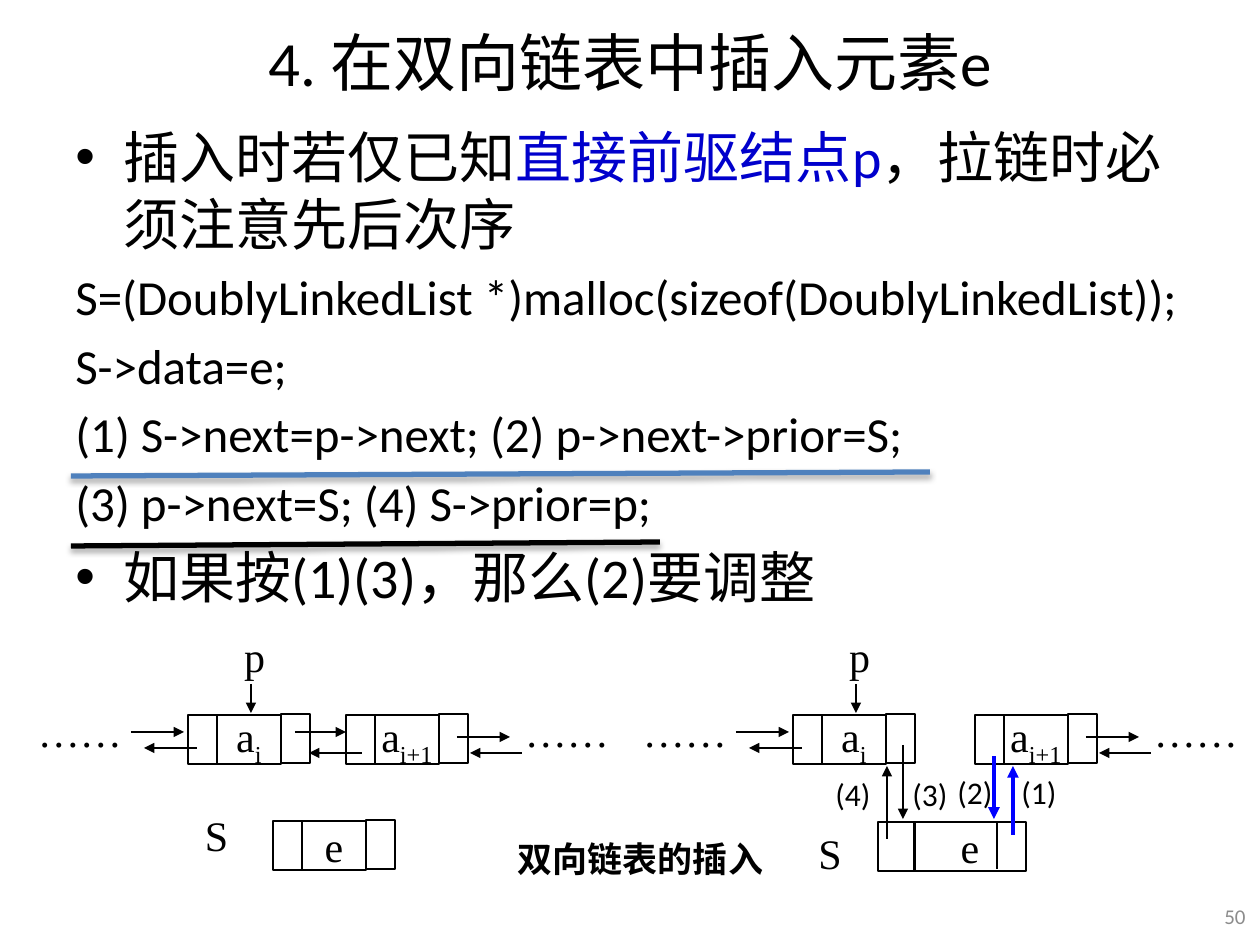
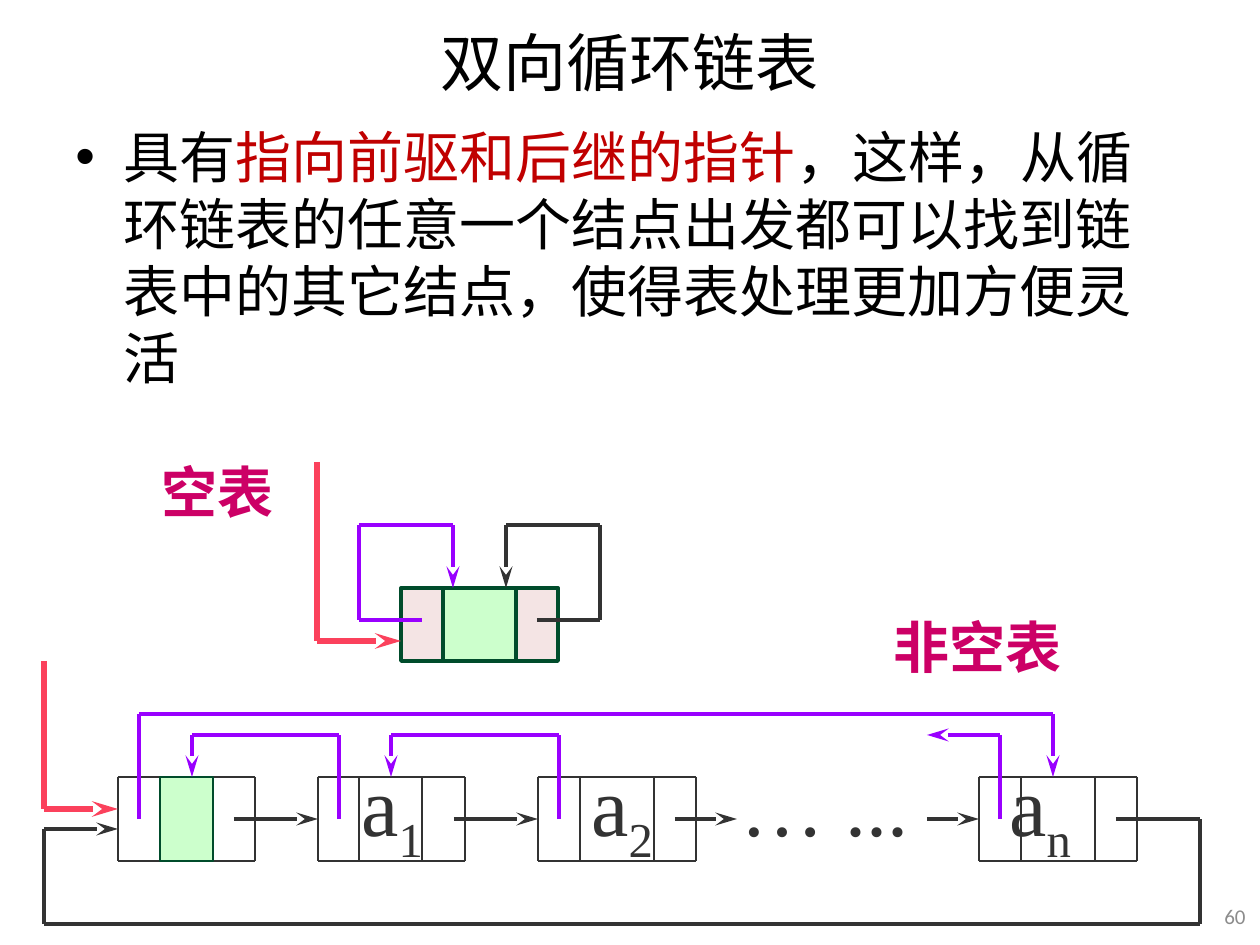
from dataclasses import dataclass
from itertools import pairwise
from typing import NamedTuple

from lxml.etree import SubElement as Sub
from pptx import Presentation
from pptx.dml.color import RGBColor as Rgb
from pptx.enum.shapes import MSO_CONNECTOR as Link, MSO_SHAPE as Kind
from pptx.enum.text import MSO_ANCHOR as Anchor, PP_ALIGN as Align
from pptx.oxml.ns import qn
from pptx.util import Emu, Pt

HUES = {
    "ink": "000000", "dark": "333333", "gray": "8C8C8C", "steel": "4F81BD",
    "navy": "0000CC", "blue": "0000FF", "red": "C00000", "coral": "FB415C",
    "pink": "CC0066", "plum": "9900FF", "green": "004C2B", "mint": "CCFFCC",
    "rose": "F4E4E4",
}
SCALE = 914400 / 126
WIDE, HIGH = 1260, 945
HANG = 48
ROMAN, HAN = "Times New Roman", "Noto Sans CJK SC"


class Run(NamedTuple):
    text: str
    hue: str = ""
    low: bool = False


class Look(NamedTuple):
    size: int
    font: str = "Calibri"
    hue: str = "ink"
    bold: bool = False
    east: str = "Calibri"


class Pen(NamedTuple):
    hue: str = "ink"
    width: float = 1
    tip: str = ""
    shade: bool = False


class Box(NamedTuple):
    left: int
    top: int
    width: int
    height: int


@dataclass(frozen=True)
class Para:
    runs: tuple[Run, ...]
    look: Look
    align: Align = Align.LEFT
    bullet: bool = False
    before: float = 0


TITLE, LEAD, CODE, NOTE = Look(36), Look(32), Look(28), Look(18)
SERIF = Look(24, ROMAN, east=ROMAN)
LARGE = Look(48, ROMAN, "dark", east=ROMAN)
HEAD = Look(32, ROMAN, "pink", True)
CAPTION = Look(20, HAN, bold=True, east=HAN)
THIN, FINE = Pen(), Pen(width=0.75)
ARROW = Pen(tip="triangle")
STEP = Pen(width=0.75, tip="triangle")
BOLD = Pen("blue", 2.25, "triangle")
GRID = Pen("dark", 0.75)
NEXT = Pen("dark", 2.5, "stealth")
PRIOR = Pen("plum", 2.5, "stealth")
ENTRY = Pen("coral", 3, "stealth")


def px(size: float) -> Emu:
    return Emu(round(size * SCALE))


def tint(hue: str) -> Rgb:
    return Rgb.from_string(HUES[hue])


# Text
def add_para(para, item: Para) -> None:
    props = para._p.get_or_add_pPr()
    if item.bullet:
        props.set("marL", str(px(HANG)))
        props.set("indent", str(px(-HANG)))
        Sub(props, qn("a:buFont"), typeface="Arial")
        Sub(props, qn("a:buChar"), char="•")
    para.alignment = item.align
    if item.before:
        para.space_before = Pt(item.before)
    look = item.look
    for part in item.runs:
        run = para.add_run()
        run.text = part.text
        font = run.font
        font.size, font.name, font.bold = Pt(look.size), look.font, look.bold
        font.color.rgb = tint(part.hue or look.hue)
        mark = font._element
        Sub(mark, qn("a:ea"), typeface=look.east)
        if part.low:
            mark.set("baseline", "-25000")


def set_text(shape, paras: list[Para], anchor: Anchor, wrap: bool):
    frame = shape.text_frame
    frame.word_wrap, frame.vertical_anchor = wrap, anchor
    for index, item in enumerate(paras):
        add_para(frame.add_paragraph() if index else frame.paragraphs[0], item)
    return frame


def add_text(slide, box: Box, *paras: Para, anchor: Anchor = Anchor.TOP,
             wrap: bool = True):
    shape = slide.shapes.add_textbox(*map(px, box))
    return set_text(shape, list(paras), anchor, wrap)


def add_label(slide, box: Box, text: str) -> None:
    frame = add_text(slide, box, Para((Run(text),), SERIF, Align.CENTER),
                     anchor=Anchor.MIDDLE, wrap=False)
    frame.margin_left = frame.margin_right = 0


# Shapes and lines
def add_cell(slide, box: Box, pen: Pen = THIN, fill: str = "",
             runs: tuple[Run, ...] = ()) -> None:
    cell = slide.shapes.add_shape(Kind.RECTANGLE, *map(px, box))
    cell.shadow.inherit = False
    if fill:
        cell.fill.solid()
        cell.fill.fore_color.rgb = tint(fill)
    else:
        cell.fill.background()
    cell.line.color.rgb, cell.line.width = tint(pen.hue), Pt(pen.width)
    if runs:
        set_text(cell, [Para(runs, SERIF, Align.CENTER)], Anchor.MIDDLE, False)


def add_line(slide, start: tuple, end: tuple, pen: Pen) -> None:
    link = slide.shapes.add_connector(Link.STRAIGHT, *map(px, (*start, *end)))
    link.line.color.rgb, link.line.width = tint(pen.hue), Pt(pen.width)
    if pen.tip:
        Sub(link.line._ln, qn("a:tailEnd"), type=pen.tip,
            len="lg" if pen.tip == "stealth" else "med")
    effect = Sub(link._element.spPr, qn("a:effectLst"))
    if pen.shade:
        shade = Sub(effect, qn("a:outerShdw"), blurRad=str(Pt(3.1)),
                    dist=str(Pt(1.8)), dir="5400000", rotWithShape="0")
        color = Sub(shade, qn("a:srgbClr"), val=HUES["ink"])
        Sub(color, qn("a:alpha"), val="35000")


def add_route(slide, pen: Pen, *stops: tuple) -> None:
    legs = list(pairwise(stops))
    for index, (start, end) in enumerate(legs, 1):
        last = index == len(legs)
        add_line(slide, start, end, pen if last else pen._replace(tip=""))


def add_base(deck, title: str, number: int):
    slide = deck.slides.add_slide(deck.slide_layouts[6])
    add_text(slide, Box(63, 6, 1134, 110),
             Para((Run(title),), TITLE, Align.CENTER), anchor=Anchor.MIDDLE)
    add_text(slide, Box(1206, 890, 52, 53),
             Para((Run(str(number)),), Look(12, hue="gray"), Align.RIGHT),
             anchor=Anchor.MIDDLE)
    return slide


# Slide 1: inserting a node
def add_node(slide, left: int, top: int, *runs: Run) -> None:
    add_cell(slide, Box(left, top, 29, 49))
    add_cell(slide, Box(left + 29, top, 64, 49), runs=runs)
    add_cell(slide, Box(left + 93, top - 1, 29, 49))


def add_list(slide, head: int, tail: int) -> None:
    add_label(slide, Box(head + 42, 631, 49, 49), "p")
    add_label(slide, Box(head - 157, 706, 98, 49), "……")
    add_label(slide, Box(tail + 172, 706, 98, 49), "……")
    add_node(slide, head, 715, Run("a"), Run("i", low=True))
    add_node(slide, tail, 715, Run("a"), Run("i+1", low=True))
    add_line(slide, (head + 63, 684), (head + 63, 713), ARROW)
    for start, end, y in ((head - 57, head - 4, 732), (head + 9, head - 44, 748),
                          (tail + 111, tail + 164, 737),
                          (tail + 176, tail + 124, 753)):
        add_line(slide, (start, y), (end, y), ARROW)


def add_insert(deck) -> None:
    slide = add_base(deck, "4. 在双向链表中插入元素e", 50)
    code = ("S=(DoublyLinkedList *)malloc(sizeof(DoublyLinkedList));",
            "S->data=e;",
            "(1) S->next=p->next; (2) p->next->prior=S;",
            "(3) p->next=S; (4) S->prior=p;")
    add_text(
        slide, Box(63, 116, 1134, 525),
        Para((Run("插入时若仅已知"), Run("直接前驱结点p", "navy"),
              Run("，拉链时必须注意先后次序")), LEAD, bullet=True),
        *(Para((Run(text),), CODE, before=5.6) for text in code),
        Para((Run("如果按(1)(3)，那么(2)要调整"),), LEAD, bullet=True, before=6.4))

    # Before the insertion
    add_list(slide, 188, 346)
    add_line(slide, (295, 732), (346, 732), ARROW)
    add_line(slide, (362, 753), (309, 753), ARROW)
    add_label(slide, Box(192, 815, 49, 39), "S")
    add_node(slide, 273, 821, Run("e"))

    # After the insertion
    add_list(slide, 793, 975)
    add_label(slide, Box(799, 833, 62, 39), "S")
    add_cell(slide, Box(878, 822, 37, 49))
    add_cell(slide, Box(914, 822, 112, 49), runs=(Run("e"),))
    add_line(slide, (997, 822), (997, 869), FINE)
    for x, start, end, pen in ((1013, 835, 766, BOLD), (994, 756, 819, BOLD),
                               (903, 745, 819, STEP), (887, 839, 766, STEP)):
        add_line(slide, (x, start), (x, end), pen)
    for text, x, y in (("(1)", 1009, 767), ("(2)", 945, 767),
                       ("(3)", 900, 769), ("(4)", 823, 769)):
        add_text(slide, Box(x, y, 62, 50), Para((Run(text),), NOTE))
    add_text(slide, Box(442, 839, 397, 39),
             Para((Run("双向链表的插入"),), CAPTION, Align.CENTER),
             anchor=Anchor.MIDDLE)

    # Underlines
    for hue, y, end in (("steel", 476, 930), ("ink", 546, 660)):
        add_line(slide, (71, y), (end, y - 4), Pen(hue, 3, shade=True))


# Slide 2: circular list
def add_frame(slide, *edges: int) -> None:
    for y in (777, 861):
        add_line(slide, (edges[0], y), (edges[-1], y), GRID)
    for x in edges:
        add_line(slide, (x, 777), (x, 861), GRID)


def add_ring(deck) -> None:
    slide = add_base(deck, "双向循环链表", 60)
    add_text(slide, Box(63, 116, 1134, 820), Para(
        (Run("具有"), Run("指向前驱和后继的指针", "red"),
         Run("，这样，从循环链表的任意一个结点出发都可以找到链表中的其它结点，"
             "使得表处理更加方便灵活")), LEAD, bullet=True))
    for text, box in (("空表", Box(149, 451, 139, 81)),
                      ("非空表", Box(881, 606, 195, 81))):
        add_text(slide, box, Para((Run(text),), HEAD), wrap=False)

    # Full list
    for left, width, text, low in ((349, 100, "a", "1"), (579, 100, "a", "2"),
                                   (728, 200, "… ...", ""),
                                   (997, 100, "a", "n")):
        runs = (Run(text), Run(low, low=True)) if low else (Run(text),)
        add_text(slide, Box(left, 746, width, 130), Para(runs, LARGE))
    for edges in ((118, 160, 213, 255), (318, 359, 422, 465),
                  (538, 580, 654, 696), (979, 1021, 1095, 1137)):
        add_frame(slide, *edges)
    add_cell(slide, Box(160, 777, 53, 84), Pen("green", 0.75), "mint")
    for start, end in ((234, 318), (454, 538), (675, 737), (927, 979)):
        add_line(slide, (start, 819), (end, 819), NEXT)
    add_route(slide, NEXT, (1116, 819), (1200, 819), (1200, 924), (44, 924),
              (44, 829), (118, 829))
    add_route(slide, PRIOR, (1000, 819), (1000, 735), (927, 735))
    for start, end, y in ((559, 391, 735), (339, 192, 735), (139, 1053, 714)):
        add_route(slide, PRIOR, (start, 819), (start, y), (end, y), (end, 777))
    add_route(slide, ENTRY, (44, 661), (44, 809), (118, 809))

    # Empty list
    for left, width, fill in ((443, 73, "mint"), (516, 42, "rose"),
                              (401, 42, "rose")):
        add_cell(slide, Box(left, 588, width, 73), Pen("green", 2.25), fill)
    for start, side, end, pen in ((537, 600, 506, NEXT), (422, 359, 453, PRIOR)):
        add_route(slide, pen, (start, 620), (side, 620), (side, 525),
                  (end, 525), (end, 588))
    add_route(slide, ENTRY, (317, 462), (317, 641), (401, 641))


def main() -> None:
    deck = Presentation()
    deck.slide_width, deck.slide_height = px(WIDE), px(HIGH)
    add_insert(deck)
    add_ring(deck)
    deck.save("out.pptx")


if __name__ == "__main__":
    main()
